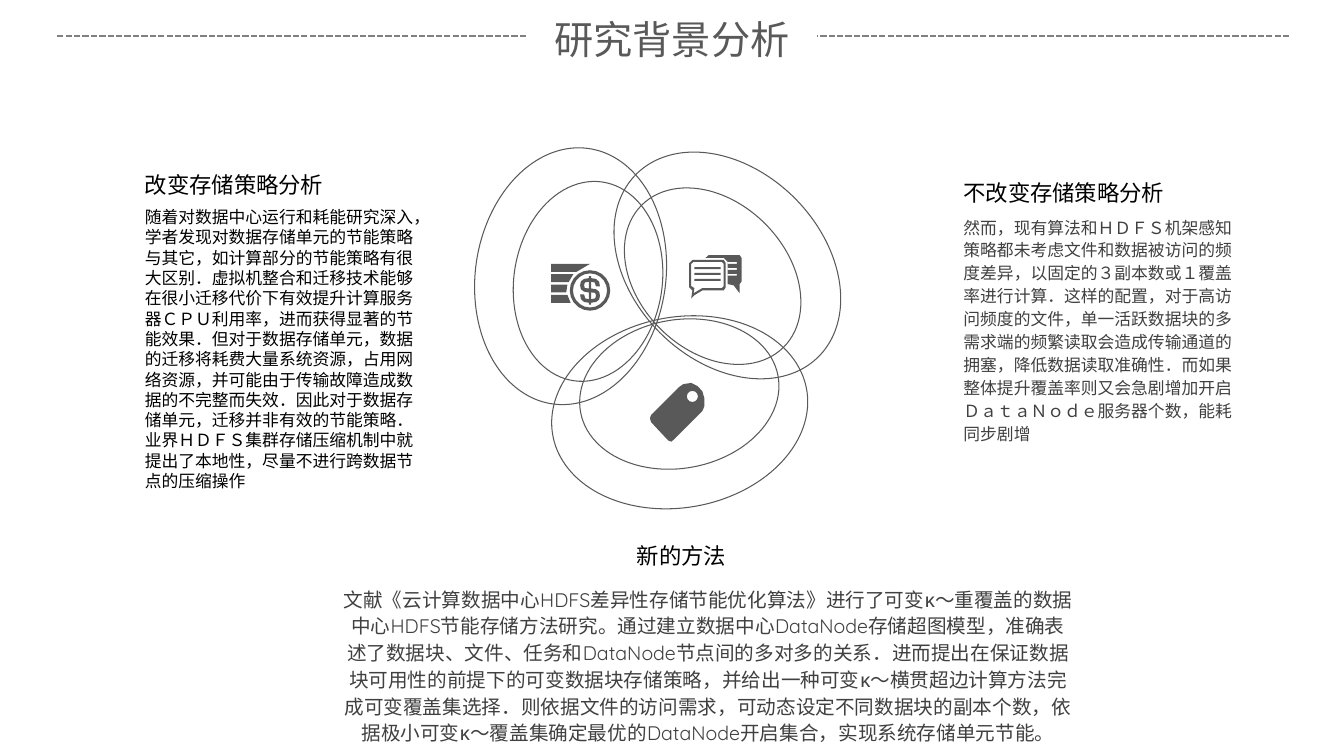
from math import cos, pi, sin

from lxml import etree
from pptx import Presentation
from pptx.dml.color import RGBColor
from pptx.enum.dml import MSO_LINE
from pptx.enum.shapes import MSO_CONNECTOR, MSO_SHAPE
from pptx.enum.text import MSO_ANCHOR, MSO_AUTO_SIZE, PP_ALIGN
from pptx.oxml.ns import qn
from pptx.util import Cm, Pt

BLACK = RGBColor(0x00, 0x00, 0x00)
DARK = RGBColor(0x40, 0x40, 0x40)
GREY = RGBColor(0x59, 0x59, 0x59)
RULE_GREY = RGBColor(0x80, 0x80, 0x80)
CJK = "Noto Sans CJK SC"
LEFT, CENTER = PP_ALIGN.LEFT, PP_ALIGN.CENTER
TOP = MSO_ANCHOR.TOP
GROW = MSO_AUTO_SIZE.SHAPE_TO_FIT_TEXT
STRAIGHT = MSO_CONNECTOR.STRAIGHT
SHORT_DASH = MSO_LINE.SQUARE_DOT
OVAL = MSO_SHAPE.OVAL


def circle(cx, cy, r, steps):
    turns = [2 * pi * i / steps for i in range(steps)]
    return [(cx + r * cos(t), cy + r * sin(t)) for t in turns]


def add_icon(contours):
    """One freeform from closed contours in cm; inner contours make holes."""
    paths = [[(Cm(x), Cm(y)) for x, y in c] for c in contours]
    builder = slide.shapes.build_freeform(*paths[0][0], scale=1.0)
    builder.add_line_segments(paths[0][1:], close=True)
    for pts in paths[1:]:
        builder.move_to(*pts[0])
        builder.add_line_segments(pts[1:], close=True)
    sp = builder.convert_to_shape()
    sp.shadow.inherit = False
    sp.fill.solid()
    sp.fill.fore_color.rgb = GREY
    sp.line.fill.background()


prs = Presentation()
prs.slide_width, prs.slide_height = Cm(33.87), Cm(19.05)
slide = prs.slides.add_slide(prs.slide_layouts[5])

# Three double rings: outer centre, inner centre, angle
rings = [
    ((18.33, 6.69), (17.96, 6.96), 45),
    ((17.13, 10.39), (17.12, 9.93), -10.4),
    ((14.38, 6.96), (14.82, 7.09), -82),
]
for outer, inner, angle in rings:
    for (cx, cy), a, b in ((outer, 3.25, 2.4), (inner, 2.53, 1.87)):
        sp = slide.shapes.add_shape(OVAL, Cm(cx - a), Cm(cy - b), Cm(2 * a), Cm(2 * b))
        sp.rotation = angle
        sp.shadow.inherit = False
        sp.fill.background()
        sp.line.color.rgb = GREY
        sp.line.width = Pt(0.75)

# Tag icon
tag = [
    [(16.84, 11.1), (16.41, 10.64), (16.38, 10.54), (16.41, 10.46),
     (17.12, 9.75), (17.22, 9.68), (17.42, 9.65), (17.58, 9.73),
     (17.7, 9.86), (17.75, 10.03), (17.75, 10.24), (17.7, 10.36),
     (16.99, 11.07), (16.92, 11.13)],
    circle(17.45, 9.99, 0.14, 12),
]

# Coin icon: four stacked bars, a ring and a point-symmetric dollar sign
COIN_X, COIN_Y = 14.87, 7.32
half_dollar = [
    (0.03, -0.22), (0.03, -0.05), (0.15, -0.03), (0.23, 0.03), (0.25, 0.13),
    (0.23, 0.23), (0.15, 0.29), (0.03, 0.31), (0.03, 0.36), (-0.03, 0.36),
    (-0.03, 0.31), (-0.15, 0.29), (-0.23, 0.22), (-0.25, 0.1),
    (-0.15, 0.1), (-0.12, 0.2)]
bowl = [(0.03, 0.05), (0.03, 0.22), (0.13, 0.2), (0.15, 0.13), (0.13, 0.06)]
dollar = [half_dollar + [(-x, -y) for x, y in half_dollar],
          bowl, [(-x, -y) for x, y in bowl]]
coins = [circle(COIN_X, COIN_Y, r, 20) for r in (0.51, 0.43)]
coins += [[(COIN_X + x, COIN_Y + y) for x, y in c] for c in dollar]
bar_ends = [(14.87, 14.53), (14.45, 14.33), (14.3, 14.27), (14.3, 14.38)]
for i, (top_end, bottom_end) in enumerate(bar_ends):
    y = 6.65 + 0.26 * i
    coins.append([(13.89, y), (top_end, y), (bottom_end, y + 0.2), (13.89, y + 0.2)])

# Speech bubble icon: back bubble, front bubble, its inside, text lines
chat = [
    [(18.34, 7.16), (18.49, 7.19), (18.64, 7.39), (18.64, 7.16),
     (18.69, 7.09), (18.69, 6.5), (18.64, 6.43), (17.86, 6.43),
     (17.78, 6.5), (18.24, 6.5), (18.34, 6.6)],
    [(18.29, 7.24), (18.24, 7.32), (17.7, 7.32), (17.5, 7.44),
     (17.42, 7.52), (17.45, 7.32), (17.37, 7.24), (17.37, 6.63),
     (17.45, 6.55), (18.24, 6.55), (18.29, 6.63)],
    [(17.48, 7.39), (17.5, 7.26), (17.42, 7.21), (17.42, 6.65),
     (17.48, 6.6), (18.19, 6.6), (18.24, 6.65), (18.24, 7.21),
     (18.19, 7.26), (17.7, 7.26)],
]
for x1, x2, first in ((18.34, 18.57, 6.6), (17.5, 18.16, 6.73)):
    for i in range(3):
        y = first + 0.15 * i
        chat.append([(x1, y), (x2, y), (x2, y + 0.05), (x1, y + 0.05)])

for icon in (tag, coins, chat):
    add_icon(icon)

# Dashed rules beside the title
for x1, x2 in ((32.49, 20.6), (13.26, 1.4)):
    rule = slide.shapes.add_connector(STRAIGHT, Cm(x1), Cm(0.91), Cm(x2), Cm(0.91))
    rule.line.color.rgb = RULE_GREY
    rule.line.width = Pt(1.5)
    rule.line.dash_style = SHORT_DASH
    etree.SubElement(rule.element.spPr, qn("a:effectLst"))

LEFT_TEXT = (
    "随着对数据中心运行和耗能研究深入，学者发现对数据存储单元的节能策略与其它，"
    "如计算部分的节能策略有很大区别．虚拟机整合和迁移技术能够在很小迁移代价下有效提升"
    "计算服务器ＣＰＵ利用率，进而获得显著的节能效果．但对于数据存储单元，数据的迁移将"
    "耗费大量系统资源，占用网络资源，并可能由于传输故障造成数据的不完整而失效．因此对于"
    "数据存储单元，迁移并非有效的节能策略．业界ＨＤＦＳ集群存储压缩机制中就提出了本地性，"
    "尽量不进行跨数据节点的压缩操作")
RIGHT_TEXT = (
    "然而，现有算法和ＨＤＦＳ机架感知策略都未考虑文件和数据被访问的频度差异，以固定的"
    "３副本数或１覆盖率进行计算．这样的配置，对于高访问频度的文件，单一活跃数据块的多需求端"
    "的频繁读取会造成传输通道的拥塞，降低数据读取准确性．而如果整体提升覆盖率则又会急剧增加"
    "开启ＤａｔａＮｏｄｅ服务器个数，能耗同步剧增")
METHOD_TEXT = (
    "文献《云计算数据中心HDFS差异性存储节能优化算法》进行了可变κ～重覆盖的数据中心HDFS"
    "节能存储方法研究。通过建立数据中心DataNode存储超图模型，准确表述了数据块、文件、任务和"
    "DataNode节点间的多对多的关系．进而提出在保证数据块可用性的前提下的可变数据块存储策略，"
    "并给出一种可变κ～横贯超边计算方法完成可变覆盖集选择．则依据文件的访问需求，可动态设定"
    "不同数据块的副本个数，依据极小可变κ～覆盖集确定最优的DataNode开启集合，"
    "实现系统存储单元节能。")

# Box (left, top, width, height), text, size, line pitch, font, colour, alignment
texts = [
    ((13.72, 0.18, 6.43, 1.45), "研究背景分析", 28, 36, "Arial", GREY, LEFT),
    ((3.4, 4.14, 5.21, 0.94), "改变存储策略分析", 16, 20.5, "Arial", BLACK, LEFT),
    ((3.4, 5.08, 7.34, 7.44), LEFT_TEXT, 12, 14.5, "Arial", BLACK, LEFT),
    ((24.03, 4.34, 5.64, 0.94), "不改变存储策略分析", 16, 20.5, "Arial", BLACK, LEFT),
    ((24.03, 5.28, 7.34, 6.1), RIGHT_TEXT, 12, 16.4, CJK, DARK, LEFT),
    ((15.8, 13.49, 4.5, 0.94), "新的方法", 16, 20.5, "Arial", BLACK, LEFT),
    ((8.36, 14.6, 18.97, 4.34), METHOD_TEXT, 14, 19.1, "Quicksand", DARK, CENTER),
]
for i, (box, text, size, pitch, font, color, align) in enumerate(texts):
    left, top, width, height = map(Cm, box)
    if i == 0:
        sp = slide.shapes.title
        sp.left, sp.top, sp.width, sp.height = left, top, width, height
    else:
        sp = slide.shapes.add_textbox(left, top, width, height)
    tf = sp.text_frame
    tf.word_wrap = i > 0
    tf.auto_size = GROW
    tf.vertical_anchor = TOP
    tf.text = text
    p = tf.paragraphs[0]
    p.alignment = align
    p.line_spacing = Pt(pitch)
    p.font.size = Pt(size)
    p.font.name = font
    p.font.color.rgb = color
    latin = p.font._element.find(qn("a:latin"))
    latin.addnext(etree.Element(qn("a:ea"), typeface=CJK))

prs.save("out.pptx")
